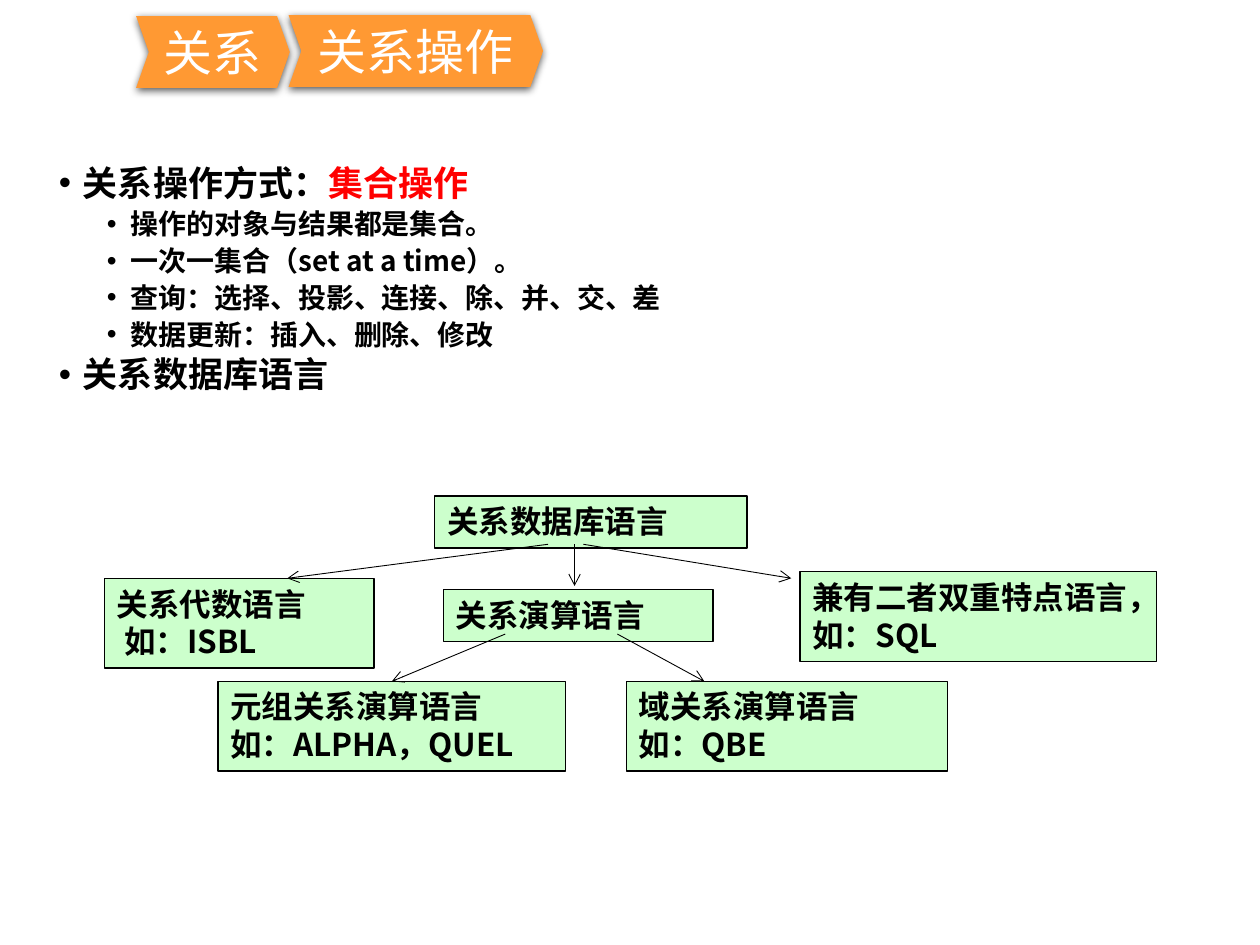
from dataclasses import dataclass
from typing import NamedTuple

import pptx
import pptx.dml.color
import pptx.enum.shapes
import pptx.enum.text
import pptx.oxml
import pptx.oxml.ns
import pptx.util
from lxml import etree

WIDTH, HEIGHT = 10, 7.5  # inches


@dataclass(frozen=True)
class Theme:
    font: str = "Noto Sans CJK SC"
    ink: str = "000000"
    accent: str = "FF0000"
    banner: str = "FF9933"
    banner_text: str = "FFFFFF"
    node: str = "CCFFCC"
    banner_size: int = 28
    topic_size: int = 20
    detail_size: int = 16
    node_size: int = 18


THEME = Theme()


class Area(NamedTuple):
    """Left, top, width and height as shares of the slide."""
    left: float
    top: float
    width: float
    height: float


class Banner(NamedTuple):
    title: str
    area: Area


class Node(NamedTuple):
    lines: tuple[str, ...]
    area: Area


class Branch(NamedTuple):
    start: tuple[float, float]
    end: tuple[float, float]


class Point(NamedTuple):
    level: int
    text: str
    emphasis: str = ""


BANNERS = (
    Banner("关系", Area(0.108, 0.017, 0.122, 0.076)),
    Banner("关系操作", Area(0.229, 0.016, 0.202, 0.076)),
)
POINTS_AREA = Area(0, 0.169, 0.909, 0.728)
POINTS = (
    Point(0, "关系操作方式：", "集合操作"),
    Point(1, "操作的对象与结果都是集合。"),
    Point(1, "一次一集合（set at a time）。"),
    Point(1, "查询：选择、投影、连接、除、并、交、差"),
    Point(1, "数据更新：插入、删除、修改"),
    Point(0, "关系数据库语言"),
)
ONE_LINE, TWO_LINES = 0.055, 0.095  # node heights
LEAF_TOP = 0.721
NODES = (
    Node(("关系数据库语言",), Area(0.345, 0.525, 0.248, ONE_LINE)),
    Node(("关系代数语言", " 如：ISBL"), Area(0.083, 0.612, 0.214, TWO_LINES)),
    Node(("关系演算语言",), Area(0.352, 0.624, 0.214, ONE_LINE)),
    Node(("兼有二者双重特点语言，如：SQL",), Area(0.635, 0.605, 0.283, TWO_LINES)),
    Node(("元组关系演算语言", "如：ALPHA，QUEL"), Area(0.173, LEAF_TOP, 0.276, TWO_LINES)),
    Node(("域关系演算语言", "如：QBE"), Area(0.497, LEAF_TOP, 0.255, TWO_LINES)),
)
ROOT_EXIT, CALCULUS_EXIT = 0.576, 0.671
BRANCHES = (
    Branch((0.456, ROOT_EXIT), (0.456, 0.62)),
    Branch((0.435, ROOT_EXIT), (0.228, 0.612)),
    Branch((0.463, ROOT_EXIT), (0.628, 0.612)),
    Branch((0.401, CALCULUS_EXIT), (0.311, LEAF_TOP)),
    Branch((0.49, CALCULUS_EXIT), (0.559, LEAF_TOP)),
)


def across(share: float) -> int:
    return pptx.util.Inches(share * WIDTH)


def down(share: float) -> int:
    return pptx.util.Inches(share * HEIGHT)


def place(area: Area) -> tuple[int, int, int, int]:
    return across(area.left), down(area.top), across(area.width), down(area.height)


def rgb(colour: str) -> pptx.dml.color.RGBColor:
    return pptx.dml.color.RGBColor.from_string(colour)


def add_run(paragraph, text: str, size: int, colour: str, bold: bool = True) -> None:
    run = paragraph.add_run()
    run.text = text
    run.font.size = pptx.util.Pt(size)
    run.font.bold = bold
    run.font.color.rgb = rgb(colour)
    run.font.name = THEME.font
    east_asian = etree.SubElement(run.font._element, pptx.oxml.ns.qn("a:ea"))
    east_asian.set("typeface", THEME.font)


def add_banner(slide, banner: Banner) -> None:
    chevron = slide.shapes.add_shape(
        pptx.enum.shapes.MSO_SHAPE.CHEVRON, *place(banner.area))
    chevron.adjustments[0] = 0.178
    chevron.fill.solid()
    chevron.fill.fore_color.rgb = rgb(THEME.banner)
    chevron.line.fill.background()
    # Soft shadow straight below
    chevron._element.spPr.append(pptx.oxml.parse_xml(
        f'<a:effectLst {pptx.oxml.ns.nsdecls("a")}>'
        '<a:outerShdw blurRad="57150" dist="19050" dir="5400000" rotWithShape="0">'
        f'<a:srgbClr val="{THEME.ink}"><a:alpha val="63000"/></a:srgbClr>'
        '</a:outerShdw></a:effectLst>'))
    frame = chevron.text_frame
    frame.word_wrap = True
    frame.vertical_anchor = pptx.enum.text.MSO_ANCHOR.MIDDLE
    title = frame.paragraphs[0]
    title.alignment = pptx.enum.text.PP_ALIGN.CENTER
    add_run(title, banner.title, THEME.banner_size, THEME.banner_text, bold=False)


def add_points(slide, area: Area, points: tuple[Point, ...]) -> None:
    frame = slide.shapes.add_textbox(*place(area)).text_frame
    frame.word_wrap = True
    for index, point in enumerate(points):
        paragraph = frame.paragraphs[0] if index == 0 else frame.add_paragraph()
        paragraph.level = point.level
        paragraph.line_spacing = 0.9
        paragraph.space_before = pptx.util.Pt(3.8 if index else 0)
        properties = paragraph._p.get_or_add_pPr()
        properties.set("marL", str(pptx.util.Inches(0.56 + 0.38 * point.level)))
        properties.set("indent", str(pptx.util.Inches(-0.19)))
        bullet_font = etree.SubElement(properties, pptx.oxml.ns.qn("a:buFont"))
        bullet_font.set("typeface", "Arial")
        bullet = etree.SubElement(properties, pptx.oxml.ns.qn("a:buChar"))
        bullet.set("char", "•")
        size = THEME.detail_size if point.level else THEME.topic_size
        add_run(paragraph, point.text, size, THEME.ink)
        if point.emphasis:
            add_run(paragraph, point.emphasis, size, THEME.accent)


def add_node(slide, node: Node) -> None:
    box = slide.shapes.add_shape(
        pptx.enum.shapes.MSO_SHAPE.RECTANGLE, *place(node.area))
    box.shadow.inherit = False
    box.fill.solid()
    box.fill.fore_color.rgb = rgb(THEME.node)
    box.line.color.rgb = rgb(THEME.ink)
    box.line.width = pptx.util.Pt(0.75)
    frame = box.text_frame
    frame.word_wrap = True
    frame.vertical_anchor = pptx.enum.text.MSO_ANCHOR.TOP
    for index, line in enumerate(node.lines):
        paragraph = frame.paragraphs[0] if index == 0 else frame.add_paragraph()
        paragraph.alignment = pptx.enum.text.PP_ALIGN.LEFT
        add_run(paragraph, line, THEME.node_size, THEME.ink)


def add_branch(slide, branch: Branch) -> None:
    (x1, y1), (x2, y2) = branch
    arrow = slide.shapes.add_connector(
        pptx.enum.shapes.MSO_CONNECTOR.STRAIGHT,
        across(x1), down(y1), across(x2), down(y2))
    arrow.line.color.rgb = rgb(THEME.ink)
    arrow.line.width = pptx.util.Pt(0.5)
    head = etree.SubElement(arrow.line._get_or_add_ln(), pptx.oxml.ns.qn("a:tailEnd"))
    head.set("type", "arrow")
    etree.SubElement(arrow._element.spPr, pptx.oxml.ns.qn("a:effectLst"))


def main() -> None:
    deck = pptx.Presentation()
    deck.slide_width, deck.slide_height = across(1), down(1)
    slide = deck.slides.add_slide(deck.slide_layouts[6])
    # Operations on relations
    add_points(slide, POINTS_AREA, POINTS)
    for banner in BANNERS:
        add_banner(slide, banner)
    # Family tree of relational languages
    for node in NODES:
        add_node(slide, node)
    for branch in BRANCHES:
        add_branch(slide, branch)
    deck.save("out.pptx")


if __name__ == "__main__":
    main()
